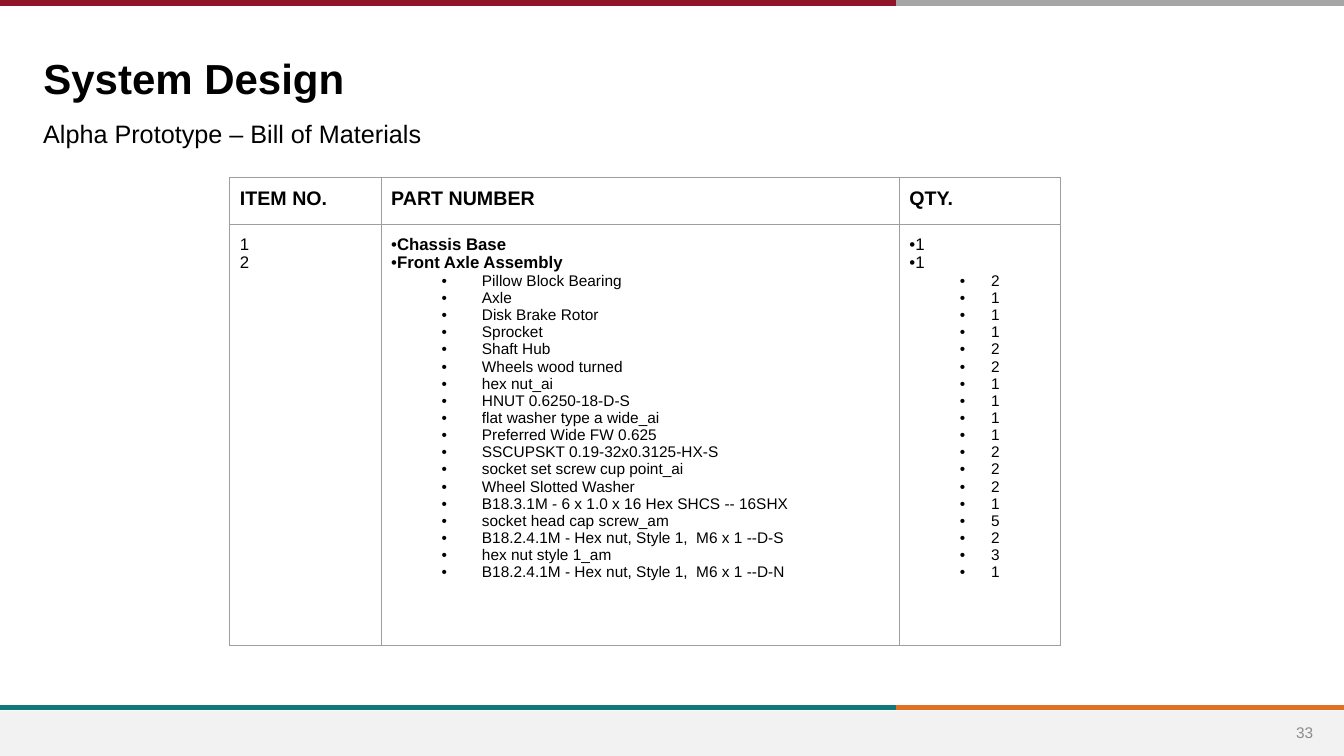
from lxml import etree
from pptx import Presentation
from pptx.dml.color import RGBColor
from pptx.enum.shapes import MSO_CONNECTOR, MSO_SHAPE
from pptx.enum.text import MSO_ANCHOR, PP_ALIGN
from pptx.oxml.ns import qn
from pptx.util import Inches, Pt

STRAIGHT = MSO_CONNECTOR.STRAIGHT
RECTANGLE = MSO_SHAPE.RECTANGLE
TOP, MIDDLE, BOTTOM = MSO_ANCHOR.TOP, MSO_ANCHOR.MIDDLE, MSO_ANCHOR.BOTTOM
LEFT, CENTER = PP_ALIGN.LEFT, PP_ALIGN.CENTER

BLACK = RGBColor(0x00, 0x00, 0x00)
MAROON = RGBColor(0x90, 0x15, 0x2A)
GRAY = RGBColor(0xA6, 0xA6, 0xA6)
TEAL = RGBColor(0x0F, 0x78, 0x7D)
ORANGE = RGBColor(0xDF, 0x70, 0x23)
FOOTER_GRAY = RGBColor(0xF2, 0xF2, 0xF2)
NUMBER_GRAY = RGBColor(0x8C, 0x8C, 0x8C)
BORDER_GRAY = "9E9E9E"
FONT = "Arial"

TITLE = "System Design"
SUBTITLE = "Alpha Prototype – Bill of Materials"
PAGE = "33"
HEADERS = ["ITEM NO.", "PART NUMBER", "QTY."]
ASSEMBLIES = [("1", "Chassis Base", "1"), ("2", "Front Axle Assembly", "1")]
COMPONENTS = [
    ("Pillow Block Bearing", "2"),
    ("Axle", "1"),
    ("Disk Brake Rotor", "1"),
    ("Sprocket", "1"),
    ("Shaft Hub", "2"),
    ("Wheels wood turned", "2"),
    ("hex nut_ai", "1"),
    ("HNUT 0.6250-18-D-S", "1"),
    ("flat washer type a wide_ai", "1"),
    ("Preferred Wide FW 0.625", "1"),
    ("SSCUPSKT 0.19-32x0.3125-HX-S", "2"),
    ("socket set screw cup point_ai", "2"),
    ("Wheel Slotted Washer", "2"),
    ("B18.3.1M - 6 x 1.0 x 16 Hex SHCS -- 16SHX", "1"),
    ("socket head cap screw_am", "5"),
    ("B18.2.4.1M - Hex nut, Style 1,  M6 x 1 --D-S", "2"),
    ("hex nut style 1_am", "3"),
    ("B18.2.4.1M - Hex nut, Style 1,  M6 x 1 --D-N", "1"),
]
WIDTH, HEIGHT, SPLIT = 13.33, 7.5, 8.89
BANDS = [(0.03, MAROON, GRAY), (7.02, TEAL, ORANGE)]
COLUMN_WIDTHS = [1.5, 5.14, 1.6]
ROW_HEIGHTS = [0.47, 4.17]


def style(paragraph, size, bold=False, color=BLACK):
    font = paragraph.font
    font.name, font.size, font.bold = FONT, Pt(size), bold
    font.color.rgb = color


def write(frame, text, size, bold=False, color=BLACK, anchor=TOP, align=LEFT):
    frame.text = text
    frame.vertical_anchor = anchor
    frame.paragraphs[0].alignment = align
    style(frame.paragraphs[0], size, bold, color)


def add_bullet(paragraph, margin=0, indent=0):
    props = paragraph._p.get_or_add_pPr()
    props.set("marL", str(Inches(margin)))
    props.set("indent", str(Inches(indent)))
    etree.SubElement(props, qn("a:buFont")).set("typeface", FONT)
    etree.SubElement(props, qn("a:buChar")).set("char", "•")


def fill_list(cell, heads, parts, bold, margin, indent):
    frame = cell.text_frame
    frame.text = "\n".join(heads + parts)
    for i, paragraph in enumerate(frame.paragraphs):
        if i < len(heads):
            add_bullet(paragraph)
            style(paragraph, 12, bold)
        else:
            paragraph.level = 1
            add_bullet(paragraph, margin, indent)
            style(paragraph, 11)


def add_borders(cell):
    props = cell._tc.get_or_add_tcPr()
    for i, side in enumerate(("lnL", "lnR", "lnT", "lnB")):
        border = etree.Element(qn(f"a:{side}"), w=str(Pt(0.75)))
        solid = etree.SubElement(border, qn("a:solidFill"))
        etree.SubElement(solid, qn("a:srgbClr")).set("val", BORDER_GRAY)
        props.insert(i, border)


def add_bands(shapes):
    footer = shapes.add_shape(
        RECTANGLE, 0, Inches(7.05), Inches(WIDTH), Inches(HEIGHT - 7.05))
    footer.shadow.inherit = False
    footer.fill.solid()
    footer.fill.fore_color.rgb = FOOTER_GRAY
    footer.line.fill.background()
    for y, left_color, right_color in BANDS:
        for start, end, color in ((0, SPLIT, left_color), (SPLIT, WIDTH, right_color)):
            band = shapes.add_connector(
                STRAIGHT, Inches(start), Inches(y), Inches(end), Inches(y))
            band.line.color.rgb = color
            band.line.width = Pt(4)
            etree.SubElement(band._element.spPr, qn("a:effectLst"))


def add_headings(shapes):
    title = shapes.title
    title.left, title.top = Inches(0.33), Inches(0.46)
    title.width, title.height = Inches(10.65), Inches(0.59)
    write(title.text_frame, TITLE, 30, bold=True, anchor=BOTTOM)
    title.text_frame.margin_bottom = Inches(0.03)
    subtitle = shapes.add_textbox(Inches(0.33), Inches(1.1), Inches(10.67), Inches(0.45))
    subtitle.text_frame.word_wrap = True
    write(subtitle.text_frame, SUBTITLE, 18, anchor=MIDDLE)
    page = shapes.add_textbox(Inches(12.68), Inches(7.07), Inches(0.52), Inches(0.4))
    page.text_frame.word_wrap = True
    write(page.text_frame, PAGE, 11, color=NUMBER_GRAY, anchor=MIDDLE, align=CENTER)


def add_materials(shapes):
    table = shapes.add_table(
        len(ROW_HEIGHTS), len(HEADERS), Inches(2.28), Inches(1.76),
        Inches(sum(COLUMN_WIDTHS)), Inches(sum(ROW_HEIGHTS))).table
    table.first_row = table.horz_banding = False
    for column, width in zip(table.columns, COLUMN_WIDTHS):
        column.width = Inches(width)
    for row, height in zip(table.rows, ROW_HEIGHTS):
        row.height = Inches(height)
    for cell in table.iter_cells():
        cell.margin_left = cell.margin_right = Inches(0.1)
        cell.margin_top = cell.margin_bottom = Inches(0.1)
        cell.fill.background()
        add_borders(cell)
    for i, header in enumerate(HEADERS):
        write(table.cell(0, i).text_frame, header, 14, bold=True)
    numbers, names, quantities = (list(column) for column in zip(*ASSEMBLIES))
    part_names, part_quantities = (list(column) for column in zip(*COMPONENTS))
    item_frame = table.cell(1, 0).text_frame
    item_frame.text = "\n".join(numbers)
    for paragraph in item_frame.paragraphs:
        style(paragraph, 12)
    fill_list(table.cell(1, 1), names, part_names, True, 0.9, -0.4)
    fill_list(table.cell(1, 2), quantities, part_quantities, False, 0.81, -0.31)


def main():
    """Build the bill of materials slide."""
    deck = Presentation()
    deck.slide_width, deck.slide_height = Inches(WIDTH), Inches(HEIGHT)
    shapes = deck.slides.add_slide(deck.slide_layouts[5]).shapes
    add_bands(shapes)
    add_headings(shapes)
    add_materials(shapes)
    deck.save("out.pptx")


if __name__ == "__main__":
    main()
